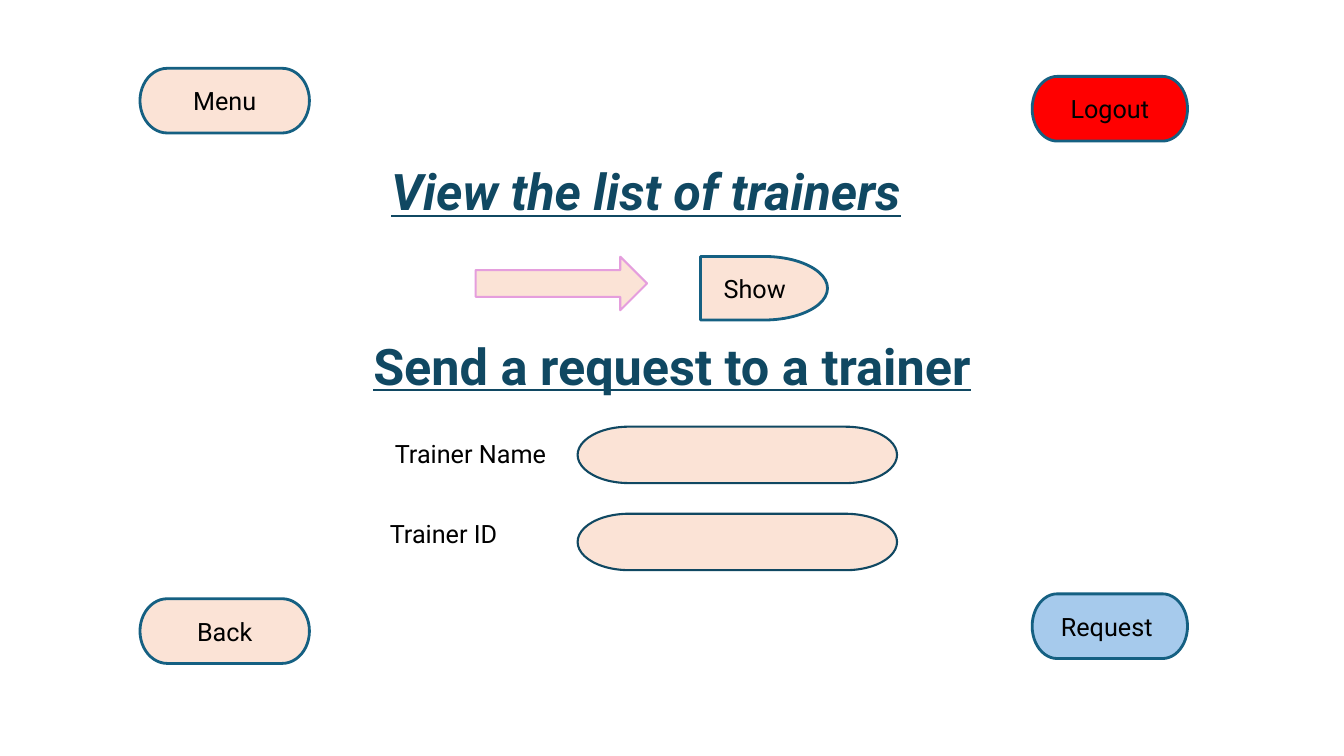
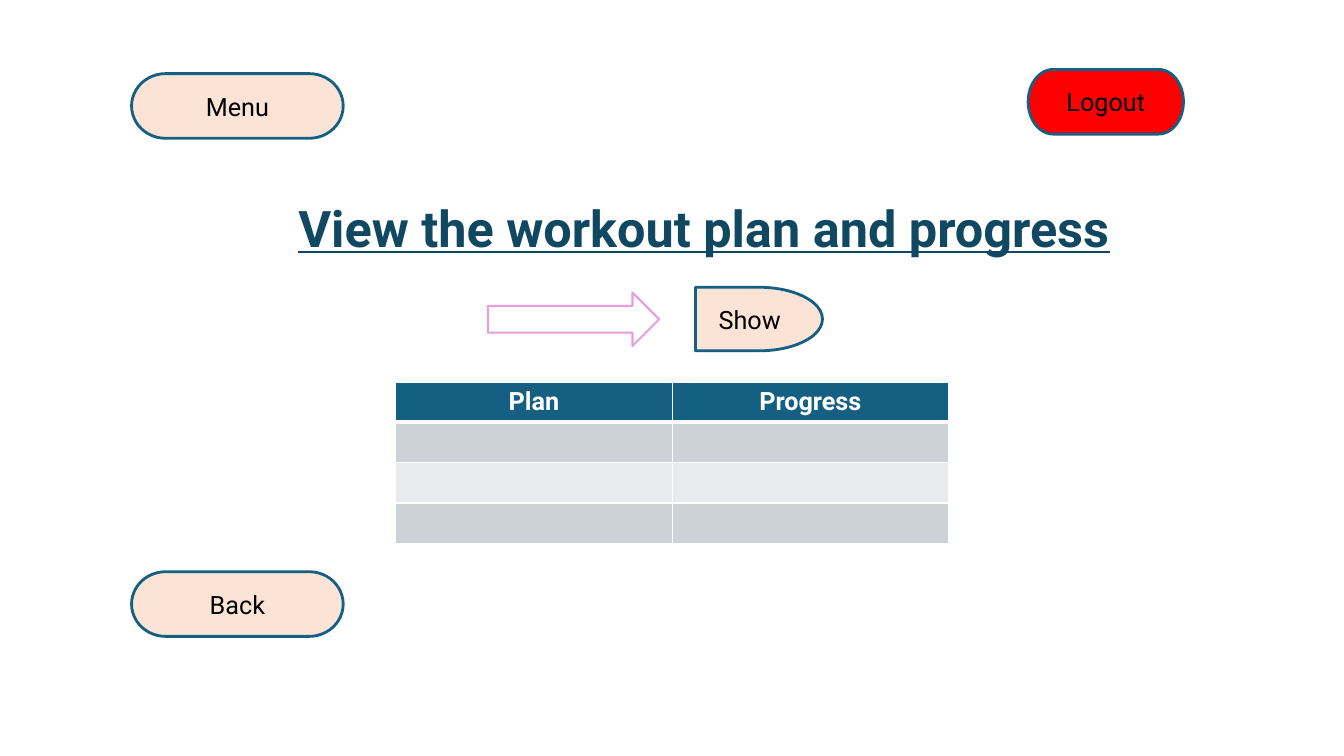
from dataclasses import dataclass

from lxml.etree import SubElement
from pptx import Presentation
from pptx.dml.color import RGBColor
from pptx.enum.shapes import MSO_SHAPE as Shape
from pptx.enum.text import MSO_ANCHOR as Anchor, PP_ALIGN as Align
from pptx.oxml.ns import qn
from pptx.slide import Slide
from pptx.util import Pt

FONT = "Roboto"
BLACK = RGBColor(0x00, 0x00, 0x00)
WHITE = RGBColor(0xFF, 0xFF, 0xFF)
NAVY = RGBColor(0x10, 0x48, 0x62)
TEAL = RGBColor(0x15, 0x60, 0x82)
PEACH = RGBColor(0xFB, 0xE3, 0xD6)
RED = RGBColor(0xFF, 0x00, 0x00)
SKY = RGBColor(0xA6, 0xCA, 0xEC)
PINK = RGBColor(0xE5, 0x9E, 0xDD)
BANDS = (RGBColor(0xCC, 0xD2, 0xD8), RGBColor(0xE8, 0xEA, 0xED))

BODY = {"name": FONT, "size": Pt(18)}
TITLE = {"name": FONT, "size": Pt(36), "bold": True, "underline": True}
HEADER = BODY | {"bold": True}

BUTTON_H = 46.2
LOGOUT_W = 111
SHOW_SIZE = (90.7, 45.4)
ARROW_SIZE = (122.4, 38.2)
FIELD_SIZE = (228.2, 40.3)


@dataclass(frozen=True)
class Box:
    left: float
    top: float
    width: float
    height: float

    def lengths(self) -> tuple[Pt, Pt, Pt, Pt]:
        return Pt(self.left), Pt(self.top), Pt(self.width), Pt(self.height)


@dataclass(frozen=True)
class Item:
    """A filled, outlined shape with an optional caption."""
    box: Box
    text: str = ""
    kind: Shape = Shape.FLOWCHART_TERMINATOR
    fill: RGBColor | None = PEACH
    line: RGBColor = TEAL
    weight: float = 2


@dataclass(frozen=True)
class Label:
    box: Box
    text: str
    style: dict
    color: RGBColor = BLACK
    align: Align = Align.LEFT


def write(tf, text: str, style: dict, color: RGBColor, align: Align) -> None:
    p = tf.paragraphs[0]
    p.alignment = align
    r = p.add_run()
    r.text = text
    for name, value in style.items():
        setattr(r.font, name, value)
    r.font.color.rgb = color


def add_item(s: Slide, item: Item) -> None:
    sp = s.shapes.add_shape(item.kind, *item.box.lengths())
    sp.shadow.inherit = False
    if item.fill is None:
        sp.fill.background()
    else:
        sp.fill.solid()
        sp.fill.fore_color.rgb = item.fill
    sp.line.color.rgb = item.line
    sp.line.width = Pt(item.weight)
    if item.text:
        sp.text_frame.vertical_anchor = Anchor.MIDDLE
        write(sp.text_frame, item.text, BODY, BLACK, Align.CENTER)


def add_label(s: Slide, label: Label) -> None:
    tf = s.shapes.add_textbox(*label.box.lengths()).text_frame
    tf.word_wrap = True
    write(tf, label.text, label.style, label.color, label.align)


def add_border(cell, side: str, weight: float) -> None:
    ln = SubElement(cell._tc.get_or_add_tcPr(), qn(f"a:ln{side}"), w=str(Pt(weight)))
    SubElement(SubElement(ln, qn("a:solidFill")), qn("a:srgbClr"), val=str(WHITE))


def add_grid(s: Slide, box: Box, headers: tuple[str, ...], body_rows: int) -> None:
    """Header row over empty banded rows, all parted by white rules."""
    rows = body_rows + 1
    table = s.shapes.add_table(rows, len(headers), *box.lengths()).table
    for row in range(rows):
        table.rows[row].height = Pt(box.height / rows)
        for col, header in enumerate(headers):
            cell = table.cell(row, col)
            weights = {"L": 1, "R": 1, "T": 3 if row == 1 else 1, "B": 3 if row == 0 else 1}
            for side, weight in weights.items():
                add_border(cell, side, weight)
            cell.fill.solid()
            cell.fill.fore_color.rgb = BANDS[(row - 1) % 2] if row else TEAL
            if row == 0:
                write(cell.text_frame, header, HEADER, WHITE, Align.CENTER)


def button(left: float, top: float, width: float, text: str, fill: RGBColor = PEACH) -> Item:
    return Item(Box(left, top, width, BUTTON_H), text, fill=fill)


def show_button(left: float, top: float) -> Item:
    return Item(Box(left, top, *SHOW_SIZE), "Show", Shape.FLOWCHART_DELAY)


def arrow(left: float, top: float, fill: RGBColor | None) -> Item:
    return Item(Box(left, top, *ARROW_SIZE), "", Shape.RIGHT_ARROW, fill, PINK, 1.5)


def entry_field(top: float) -> Item:
    return Item(Box(412.6, top, *FIELD_SIZE), line=NAVY, weight=1.5)


TRAINERS = (
    Label(Box(237, 111, 449, 51), "View the list of trainers",
          TITLE | {"italic": True}, NAVY, Align.CENTER),
    show_button(500.4, 183.2),
    arrow(339.8, 183.4, PEACH),
    Label(Box(193, 235.5, 574, 94), "Send a request to a trainer", TITLE, NAVY, Align.CENTER),
    Label(Box(275, 309.6, 142, 51), "Trainer Name", BODY),
    Label(Box(220.3, 367, 142, 40), "Trainer ID", BODY, align=Align.RIGHT),
    entry_field(304.8),
    entry_field(367),
    button(100, 427.7, 121, "Back"),
    button(737.3, 424.2, LOGOUT_W, "Request ", SKY),
    button(100, 48.8, 121, "Menu"),
    button(737.3, 54.6, LOGOUT_W, "Logout", RED),
)

WORKOUT = (
    Label(Box(206, 137, 639, 51), "View the workout plan and progress", TITLE, NAVY),
    button(94, 408.4, 151.2, "Back"),
    show_button(496.8, 205.2),
    arrow(348.5, 209, None),
    button(94, 52.6, 151.2, "Menu"),
    button(734.4, 49.6, LOGOUT_W, "Logout", RED),
)


def add_slide(prs, parts: tuple[Item | Label, ...]) -> Slide:
    s = prs.slides.add_slide(prs.slide_layouts[6])
    for part in parts:
        if isinstance(part, Label):
            add_label(s, part)
        else:
            add_item(s, part)
    return s


def main() -> None:
    prs = Presentation()
    prs.slide_width, prs.slide_height = Pt(960), Pt(540)
    add_slide(prs, TRAINERS)
    workout = add_slide(prs, WORKOUT)
    add_grid(workout, Box(282.6, 272.8, 395, 114.8), ("Plan", "Progress"), body_rows=3)
    prs.save("out.pptx")


if __name__ == "__main__":
    main()
